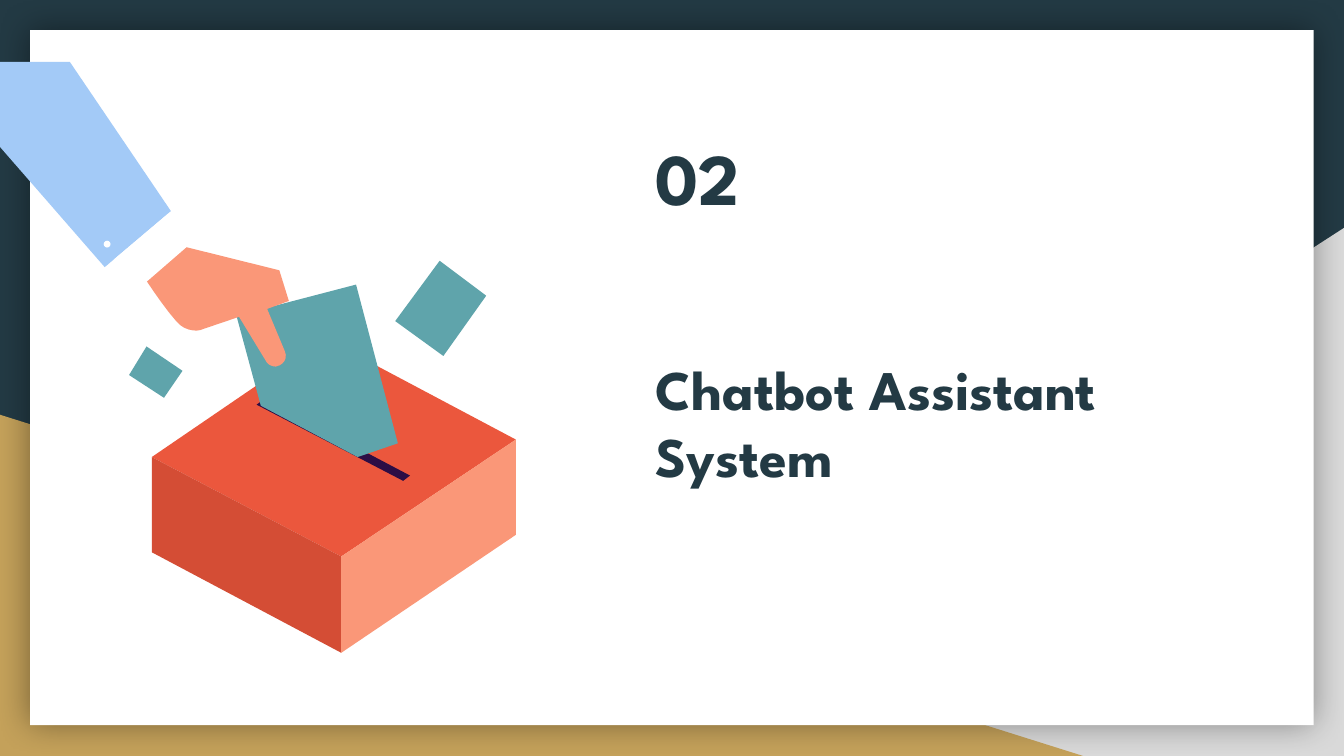
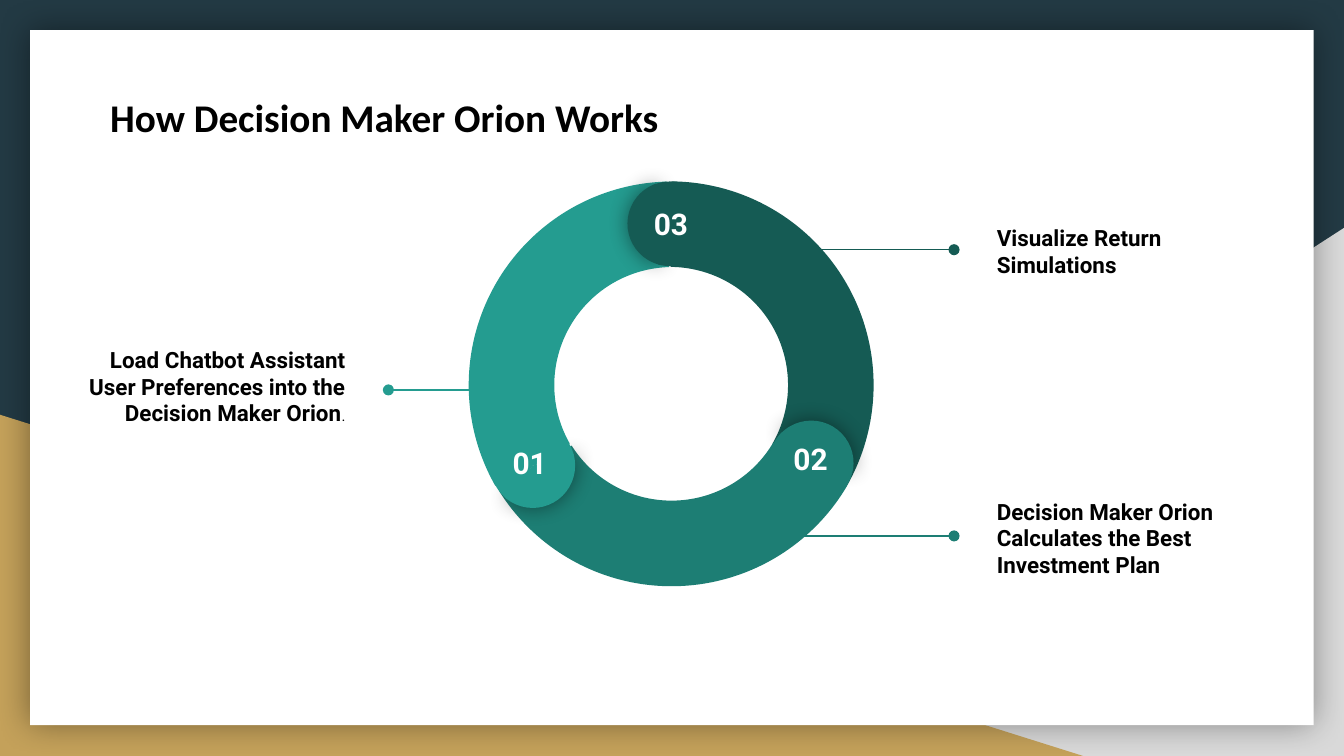
from pptx import Presentation
from pptx import util as u
from pptx.dml.color import RGBColor
from pptx.enum import shapes, text
from pptx.oxml import parse_xml
from pptx.oxml.ns import nsdecls, qn
from lxml import etree

Cm, Pt = u.Cm, u.Pt
KIND = shapes.MSO_SHAPE

NAVY = RGBColor(0x23, 0x3A, 0x44)
GREY = RGBColor(0xD9, 0xD9, 0xD9)
GOLD = RGBColor(0xC4, 0xA1, 0x5A)
WHITE = RGBColor(0xFF, 0xFF, 0xFF)
BLACK = RGBColor(0x00, 0x00, 0x00)
RED = RGBColor(0xEB, 0x57, 0x3D)
BRICK = RGBColor(0xD4, 0x4D, 0x35)
PEACH = RGBColor(0xFA, 0x97, 0x78)
PLUM = RGBColor(0x2D, 0x0D, 0x45)
TEAL = RGBColor(0x5F, 0xA4, 0xAB)
SKY = RGBColor(0xA3, 0xCA, 0xF7)
DARK = RGBColor(0x15, 0x5B, 0x54)
MID = RGBColor(0x1D, 0x7E, 0x74)
LIGHT = RGBColor(0x24, 0x9C, 0x90)


def paint(shape, color, alpha=0, blur=0):
    """Plain fill without outline, and a soft glow-like shadow if asked."""
    shape.fill.solid()
    shape.fill.fore_color.rgb = color
    shape.line.fill.background()
    shape.shadow.inherit = False
    if alpha:
        shape._element.spPr.find(qn("a:effectLst")).append(parse_xml(
            f'<a:outerShdw {nsdecls("a")} blurRad="{Pt(blur)}" dist="0" dir="0" '
            f'algn="ctr" rotWithShape="0"><a:srgbClr val="000000">'
            f'<a:alpha val="{alpha * 1000}"/></a:srgbClr></a:outerShdw>'))


def say(par, words, size, font, color, bold=True):
    run = par.add_run()
    run.text = words
    run.font.size = Pt(size)
    run.font.name = font
    run.font.bold = bold
    run.font.color.rgb = color


prs = Presentation()
prs.slide_width, prs.slide_height = Cm(25.4), Cm(14.29)
plan = prs.slide_layouts[5]
cover, works = [prs.slides.add_slide(plan) for _ in range(2)]
frames = []

# Shared backdrop, kept on the master
master = prs.slide_master
master.background.fill.solid()
master.background.fill.fore_color.rgb = NAVY
for kind, box, color, alpha in [
    (KIND.RIGHT_TRIANGLE, (9.96, 4.31, 15.44, 9.98), GREY, 0),
    (KIND.RIGHT_TRIANGLE, (0, 7.84, 20.47, 6.45), GOLD, 0),
    (KIND.RECTANGLE, (0.57, 0.57, 24.26, 13.14), WHITE, 40),
]:
    band = cover.shapes.add_shape(kind, *map(Cm, box))
    paint(band, color, alpha, 18)
    if color == GREY:
        band._element.spPr.xfrm.set("flipH", "1")
    master.shapes._spTree.append(band._element)

# Titles
for sl, box in [(cover, (12.14, 2.26, 9.75, 8.36)),
                (works, (1.83, 1.52, 13.18, 1.42))]:
    head = sl.shapes.title
    head.left, head.top, head.width, head.height = map(Cm, box)
    frame = head.text_frame
    frame.vertical_anchor = text.MSO_ANCHOR.TOP
    frames.append(frame)

frame = cover.shapes.title.text_frame
say(frame.paragraphs[0], "02", 39, "League Spartan", NAVY)
par = frame.add_paragraph()
par.space_before = Pt(72)
say(par, "Chatbot Assistant System", 30, "League Spartan", NAVY)
say(works.shapes.title.text_frame.paragraphs[0],
    "How Decision Maker Orion Works", 21, "Calibri", BLACK)
for frame in frames:
    for par in frame.paragraphs:
        par.alignment = text.PP_ALIGN.LEFT

# Ballot box drawing: pairs are corners, six numbers are a curve
art = cover.shapes.add_group_shape()
for color, marks in [
    (RED, [(6.15, 6.4), (9.75, 8.31), (6.45, 10.52), (2.87, 8.64)]),
    (PLUM, [(5, 7.54), (7.75, 8.99), (7.62, 9.09), (4.85, 7.65)]),
    (BRICK, [(2.87, 8.64), (6.45, 10.52), (6.45, 12.34), (2.87, 10.44)]),
    (PEACH, [(9.75, 8.31), (9.75, 10.11), (6.45, 12.34), (6.45, 10.52)]),
    (TEAL, [(6.73, 5.38), (7.52, 8.38), (6.76, 8.64), (4.93, 7.67), (4.47, 5.97)]),
    (TEAL, [(8.31, 4.93), (9.19, 5.59), (8.38, 6.73), (7.47, 6.07)]),
    (TEAL, [(2.77, 6.55), (3.45, 7.01), (3.1, 7.52), (2.44, 7.09)]),
    (PEACH, [(3.51, 4.67), (5.28, 5.11), (5.46, 5.69), (5.05, 5.84), (5.38, 6.63),
             (5.44, 6.76, 5.38, 6.86, 5.28, 6.91), (5.26, 6.91, 5.23, 6.93, 5.21, 6.93),
             (5.13, 6.93, 5.05, 6.88, 5.03, 6.83), (4.52, 5.99), (3.84, 6.22),
             (3.84, 6.22, 3.78, 6.25, 3.71, 6.25), (3.61, 6.25, 3.45, 6.22, 3.33, 6.07),
             (3.12, 5.84, 2.77, 5.31, 2.77, 5.31)]),
    (SKY, [(1.32, 1.17), (3.23, 3.99), (1.98, 5.05), (-0.18, 2.57), (-0.18, 1.17)]),
    (WHITE, [(3.18, 4.04), (3.61, 4.6), (2.64, 5.44), (2.16, 4.9)]),
]:
    dots = []
    for mark in marks:
        if len(mark) == 2:
            dots.append(mark)
            continue
        ends = [dots[-1], mark[:2], mark[2:4], mark[4:]]
        for t in (0.2, 0.4, 0.6, 0.8, 1):
            parts = ((1 - t) ** 3, 3 * t * (1 - t) ** 2, 3 * t * t * (1 - t), t ** 3)
            dots.append(tuple(sum(w * e[i] for w, e in zip(parts, ends))
                              for i in (0, 1)))
    dots = [(Cm(x), Cm(y)) for x, y in dots]
    pen = art.shapes.build_freeform(*dots[0])
    pen.add_line_segments(dots[1:], close=True)
    paint(pen.convert_to_shape(), color)
paint(art.shapes.add_shape(KIND.OVAL, Cm(1.96), Cm(4.55), Cm(0.13), Cm(0.13)), WHITE)

# Callouts with their lines
for words, left, top, start, end, high, color in [
    ("Load Chatbot Assistant User Preferences into the Decision Maker Orion",
     0.89, 5.51, 9.09, 7.34, 7.37, LIGHT),
    ("Visualize Return Simulations", 18.59, 2.95, 14.48, 18.03, 4.72, DARK),
    ("Decision Maker Orion Calculates the Best Investment Plan",
     18.59, 8.38, 14.48, 18.03, 10.13, MID),
]:
    frame = works.shapes.add_textbox(Cm(left), Cm(top), Cm(5.89), Cm(3.58)).text_frame
    frame.vertical_anchor = text.MSO_ANCHOR.MIDDLE
    frames.append(frame)
    par = frame.paragraphs[0]
    say(par, words, 12, "Roboto", BLACK)
    if color == LIGHT:
        par.alignment = text.PP_ALIGN.RIGHT
        say(par, ".", 8, "Roboto", BLACK, False)
    line = works.shapes.add_connector(shapes.MSO_CONNECTOR.STRAIGHT,
                                      Cm(start), Cm(high), Cm(end), Cm(high))
    line.line.color.rgb = color
    line.line.width = Pt(0.75)
    etree.SubElement(line.line._get_or_add_ln(), qn("a:tailEnd"), type="oval")
    etree.SubElement(line._element.spPr, qn("a:effectLst"))

# Ring: three arcs
for left, top, turn, last, color in [(8.81, 3.43, 60, 197.82, DARK),
                                     (8.84, 3.38, 180, 196.63, MID),
                                     (8.86, 3.43, 300, 197.03, LIGHT)]:
    arc = works.shapes.add_shape(KIND.BLOCK_ARC, Cm(left), Cm(top), Cm(7.7), Cm(7.7))
    arc.rotation = turn
    for i, val in enumerate((126.23, last, 0.21)):
        arc.adjustments[i] = val
    paint(arc, color)

# Round caps with numbers
for num, left, top, turn, color, x, y in [
    ("01 ", 9.27, 8, 240, LIGHT, 9.37, 8.15),
    ("03 ", 11.86, 3.43, 0, DARK, 12.04, 3.63),
    ("02 ", 14.53, 7.95, 120, MID, 14.68, 8.08),
]:
    for spin, first, last, alpha in [(turn + 0.65, 61.9, 149.96, 43),
                                     ((turn + 180) % 360, 40.28, 171.84, 0)]:
        cap = works.shapes.add_shape(KIND.PIE, Cm(left), Cm(top), Cm(1.6), Cm(1.6))
        cap.rotation = spin
        cap.adjustments[0], cap.adjustments[1] = first, last
        paint(cap, color, alpha, 11.2)
    frame = works.shapes.add_textbox(Cm(x), Cm(y), Cm(1.42), Cm(0.74)).text_frame
    frames.append(frame)
    frame.paragraphs[0].alignment = text.PP_ALIGN.CENTER
    say(frame.paragraphs[0], num, 16, "Roboto", WHITE)

# Same insets for every text
for frame in frames:
    frame.word_wrap = True
    frame.auto_size = text.MSO_AUTO_SIZE.NONE
    frame.margin_left = frame.margin_right = Cm(0.25)
    frame.margin_top = frame.margin_bottom = Cm(0.25)

prs.save("out.pptx")
